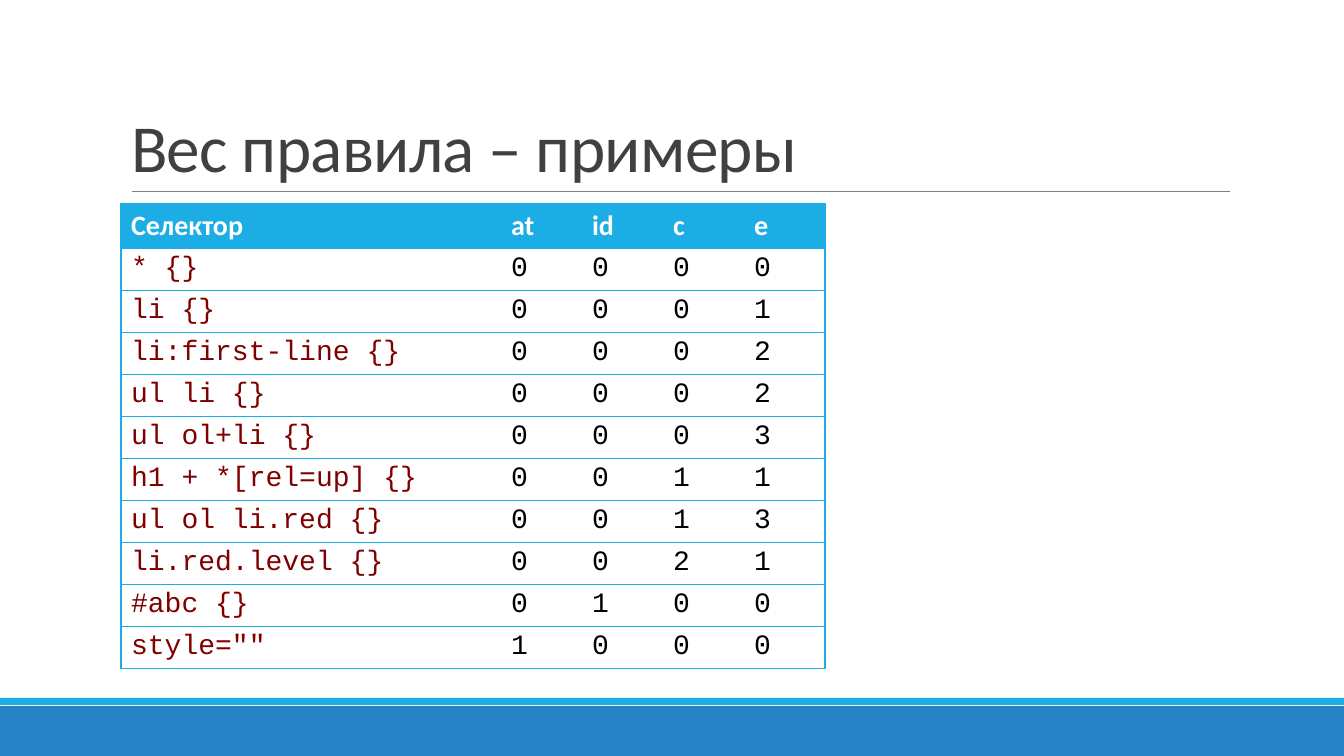
from lxml.etree import SubElement
from pptx import Presentation
from pptx.dml.color import RGBColor
from pptx.enum.shapes import MSO_CONNECTOR, MSO_SHAPE
from pptx.enum.text import MSO_ANCHOR, MSO_AUTO_SIZE, PP_ALIGN
from pptx.oxml import parse_xml
from pptx.oxml.ns import nsdecls, qn
from pptx.util import Emu, Pt

BLUE = "1CADE4"
NO_STYLE = "{2D5ABB26-0587-4C30-8999-92F81FD0307C}"


def px(length):
    return Emu(round(length * 914400 / 100.8))


def color(value):
    return RGBColor.from_string(value)


deck = Presentation()
deck.slide_width, deck.slide_height = px(1344), px(756)
page = deck.slides.add_slide(deck.slide_layouts[5])

# Bars at the bottom
for top, height, fill in [(706, 50, "2683C6"), (698, 7, BLUE)]:
    bar = page.shapes.add_shape(MSO_SHAPE.RECTANGLE, 0, px(top), px(1344), px(height))
    bar.shadow.inherit = False
    bar.fill.solid()
    bar.fill.fore_color.rgb = color(fill)
    bar.line.fill.background()

# Title and the rule below it
title = page.shapes.title
title.left, title.top, title.width, title.height = px(121), px(31), px(1109), px(160)
frame = title.text_frame
frame.text = "Вес правила – примеры"
frame.word_wrap = True
frame.auto_size = MSO_AUTO_SIZE.NONE
frame.vertical_anchor = MSO_ANCHOR.BOTTOM
para = frame.paragraphs[0]
para.alignment = PP_ALIGN.LEFT
para.line_spacing = 0.85
para.font.name = "Calibri"
para.font.size = Pt(48)
para.font.color.rgb = color("404040")
para.runs[0]._r.get_or_add_rPr().set("spc", "-50")

rule = page.shapes.add_connector(MSO_CONNECTOR.STRAIGHT, px(132), px(191), px(1230), px(191))
rule.line.color.rgb = color("808080")
rule.line.width = Pt(0.5)
SubElement(rule._element.spPr, qn("a:effectLst"))

# Table of selectors and their weights
rows = [
    ("Селектор", "at", "id", "c", "e"),
    ("* {}", 0, 0, 0, 0),
    ("li {}", 0, 0, 0, 1),
    ("li:first-line {}", 0, 0, 0, 2),
    ("ul li {}", 0, 0, 0, 2),
    ("ul ol+li {}", 0, 0, 0, 3),
    ("h1 + *[rel=up] {}", 0, 0, 1, 1),
    ("ul ol li.red {}", 0, 0, 1, 3),
    ("li.red.level {}", 0, 0, 2, 1),
    ("#abc {}", 0, 1, 0, 0),
    ('style=""', 1, 0, 0, 0),
]
widths = [380] + [81] * 4
heights = [44] + [42] * 10
holder = page.shapes.add_table(len(rows), len(widths), px(121), px(204),
                               px(sum(widths)), px(sum(heights)))
table = holder.table
table.horz_banding = False
table._tbl.tblPr.find(qn("a:tableStyleId")).text = NO_STYLE
for column, width in zip(table.columns, widths):
    column.width = px(width)

for row_index, values in enumerate(rows):
    table.rows[row_index].height = px(heights[row_index])
    header = row_index == 0
    for column_index, value in enumerate(values):
        cell = table.cell(row_index, column_index)
        cell.text = str(value)
        font = cell.text_frame.paragraphs[0].font
        font.size = Pt(20)
        font.bold = header
        font.name = "Calibri" if header else "Courier New"
        if header:
            font.color.rgb = color("FFFFFF")
            cell.fill.solid()
            cell.fill.fore_color.rgb = color(BLUE)
        else:
            font.color.rgb = color("000000" if column_index else "800000")
            cell.fill.background()

        # Horizontal lines everywhere, vertical lines on the outside only
        sides = ["lnT", "lnB"]
        if column_index == len(values) - 1:
            sides.insert(0, "lnR")
        if column_index == 0:
            sides.insert(0, "lnL")
        for position, side in enumerate(sides):
            border = parse_xml(
                f'<a:{side} {nsdecls("a")} w="12700"><a:solidFill>'
                f'<a:srgbClr val="{BLUE}"/></a:solidFill></a:{side}>')
            cell._tc.get_or_add_tcPr().insert(position, border)

deck.save("out.pptx")
